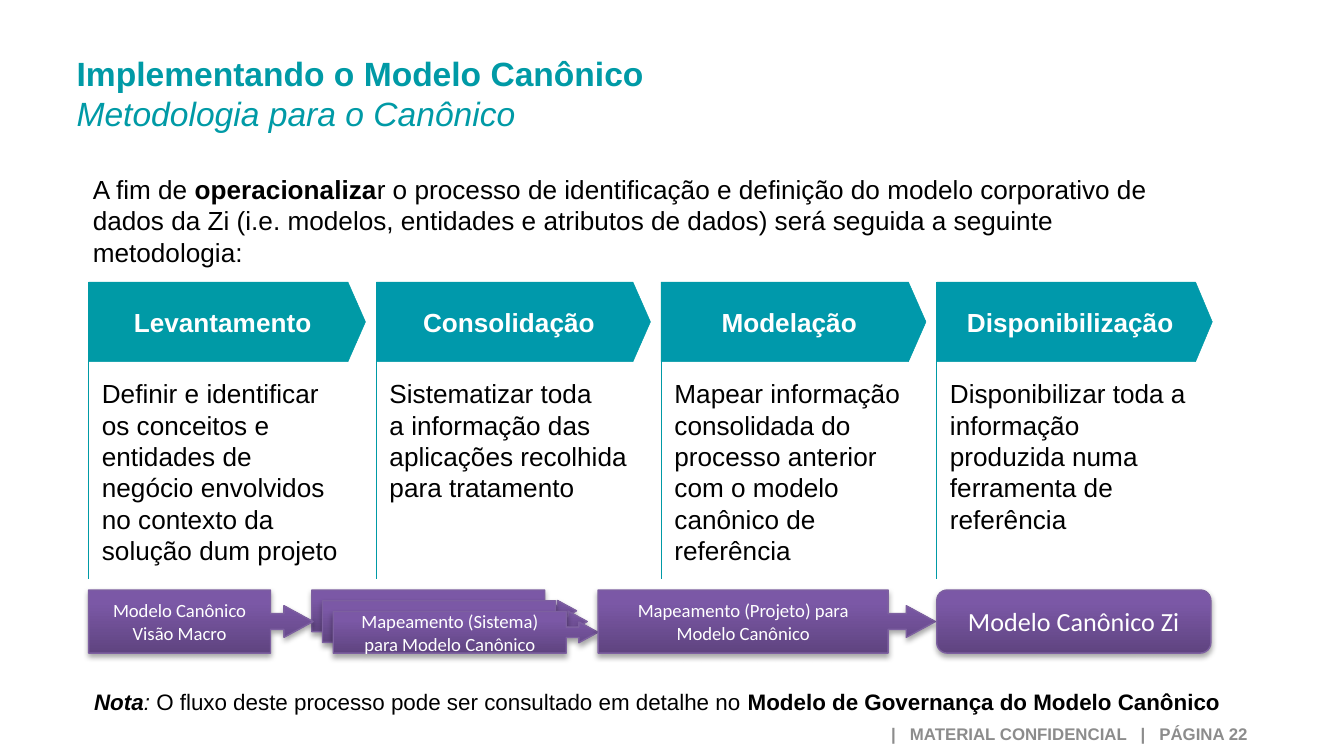
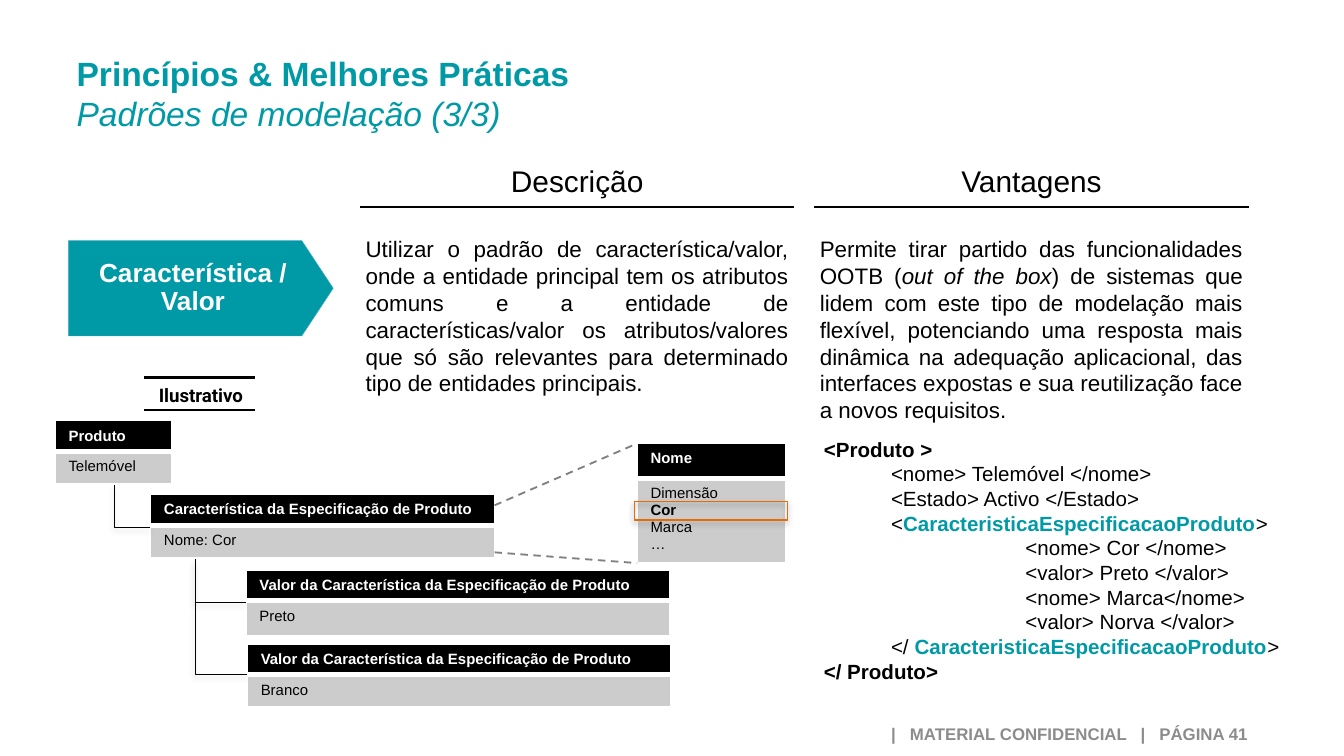
from copy import deepcopy
from itertools import repeat

from lxml.etree import SubElement
from pptx import Presentation
from pptx.dml.color import RGBColor
from pptx.enum.dml import MSO_LINE
from pptx.enum.shapes import MSO_CONNECTOR, MSO_SHAPE
from pptx.enum.text import MSO_ANCHOR, MSO_AUTO_SIZE, PP_ALIGN
from pptx.oxml.ns import qn
from pptx.util import Inches, Pt

CELL = Inches(0.1)  # the slide is a grid of 100 columns by 56.25 rows
TEAL, TEAL_BLUE, BLACK, WHITE = "009AA6", "0099AB", "000000", "FFFFFF"
GREY, SILVER, FOOTER_GREY, ORANGE = "808080", "CCCCCC", "8C8C8C", "E46C0A"
PURPLE_LINE = "7D60A0"
PURPLE_STOPS = [(0, "5F4480"), (0.8, "7B58A6"), (1, "7C57A8")]
BOLD, ITALIC = {"bold": True}, {"italic": True}
KEY = {"bold": True, "color": TEAL}
PLAIN = {"name": "Arial", "bold": False, "italic": False, "color": BLACK}
LABEL = {"size": 14, "bold": True, "color": WHITE}
MIDDLE = {"vertical_anchor": MSO_ANCHOR.MIDDLE}
CENTRED = {"alignment": PP_ALIGN.CENTER}
JUSTIFIED = {"alignment": PP_ALIGN.JUSTIFY}


def hexa(value):
    return RGBColor.from_string(value)


def grid(*cells):
    return [round(cell * CELL) for cell in cells]


def apply(target, values):
    for name, value in values.items():
        setattr(target, name, value)


def insets(across, down):
    across, down = grid(across, down)
    return {"margin_left": across, "margin_right": across,
            "margin_top": down, "margin_bottom": down}


def move(box, area):
    apply(box, dict(zip(("left", "top", "width", "height"), grid(*area))))
    return box


def write(frame, paragraphs, look, layout=None, indents=repeat(0)):
    """Fill a frame; a paragraph is a string or a list of strings and (text, look) spans."""
    for number, (spans, indent) in enumerate(zip(paragraphs, indents)):
        para = frame.add_paragraph() if number else frame.paragraphs[0]
        apply(para, {"alignment": PP_ALIGN.LEFT, "space_before": Pt(0), **(layout or {})})
        properties = para._p.get_or_add_pPr()
        properties.set("marL", str(grid(indent)[0]))
        properties.set("indent", "0")
        SubElement(properties, qn("a:buNone"))
        for span in [spans] if isinstance(spans, str) else spans:
            text, extra = (span, {}) if isinstance(span, str) else span
            values = {**PLAIN, **look, **extra}
            run = para.add_run()
            run.text = text
            run.font.color.rgb = hexa(values.pop("color"))
            apply(run.font, {**values, "size": Pt(values["size"])})


def fill_box(box, paragraphs, look, layout=None, frame=None, indents=repeat(0)):
    apply(box.text_frame, {"word_wrap": True, "auto_size": MSO_AUTO_SIZE.NONE,
                           "vertical_anchor": MSO_ANCHOR.TOP, **(frame or {})})
    write(box.text_frame, paragraphs, look, layout, indents)


def add_text(shapes, area, *content, **options):
    box = shapes.add_textbox(*grid(*area))
    fill_box(box, *content, **options)
    return box


def add_shadow(effects, opacity):
    shadow = SubElement(effects, qn("a:outerShdw"), blurRad=str(Pt(3.1)),
                        dist=str(Pt(1.8)), dir="5400000", rotWithShape="0")
    colour = SubElement(shadow, qn("a:srgbClr"), val=BLACK)
    SubElement(colour, qn("a:alpha"), val=str(opacity * 1000))


def set_line(shape, colour, width, dash=None):
    shape.line.color.rgb = hexa(colour)
    shape.line.width = Pt(width)
    if dash:
        shape.line.dash_style = dash


def add_line(shapes, start, end, colour, width, dash=None, kind=MSO_CONNECTOR.STRAIGHT):
    line = shapes.add_connector(kind, *grid(*start, *end))
    set_line(line, colour, width, dash)
    return line, SubElement(line.element.spPr, qn("a:effectLst"))


def add_branch(shapes, start, end):
    """Draw a thin line that goes down first and then across."""
    line, effects = add_line(shapes, start, end, BLACK, 0.25, kind=MSO_CONNECTOR.ELBOW)
    SubElement(line.element.spPr.find(".//" + qn("a:avLst")), qn("a:gd"),
               name="adj1", fmla="val 0")
    add_shadow(effects, 38)


def add_form(shapes, kind, area, colour, line, adjustments=()):
    shape = shapes.add_shape(kind, *grid(*area))
    for number, value in enumerate(adjustments):
        shape.adjustments[number] = value
    if colour:
        shape.fill.solid()
        shape.fill.fore_color.rgb = hexa(colour)
    else:
        shape.fill.background()
    set_line(shape, *line)
    shape.shadow.inherit = False
    return shape


def add_purple(shapes, kind, area, paragraphs, size=10, adjustments=()):
    shape = add_form(shapes, kind, area, None, (PURPLE_LINE, 0.75), adjustments)
    shape.fill.gradient()
    shape.fill.gradient_angle = 90
    stops = shape.element.spPr.find(".//" + qn("a:gsLst"))
    stops.append(deepcopy(stops[-1]))
    for stop, (position, colour) in zip(shape.fill.gradient_stops, PURPLE_STOPS):
        stop.position = position
        stop.color.rgb = hexa(colour)
    add_shadow(shape.element.spPr.find(qn("a:effectLst")), 35)
    fill_box(shape, paragraphs, {"name": "Calibri", "size": size, "color": WHITE},
             CENTRED, MIDDLE)


def add_callout(shapes, area, paragraphs, share):
    add_purple(shapes, MSO_SHAPE.RIGHT_ARROW_CALLOUT, area, paragraphs,
               adjustments=(0.25, 0.25, 0.46, share))


def add_step(page, left, width, colour, point, label, paragraphs):
    shapes = page.shapes.add_group_shape().shapes
    arrow = add_form(shapes, MSO_SHAPE.PENTAGON, (left, 21, width, 5.9), colour,
                     (TEAL, 0.25), [point])
    fill_box(arrow, [label], LABEL, CENTRED, {**MIDDLE, **insets(0, 0), "word_wrap": False})
    add_text(shapes, (left, 27.6, min(width, 20.4), 15.2), paragraphs, {"size": 14})
    add_line(shapes, (left, 21), (left, 43.1), TEAL, 0.25)


def add_entity(page, left, top, width, heights, header, values):
    table = page.shapes.add_table(2, 1, *grid(left, top, width, sum(heights))).table
    apply(table, {"first_row": False, "horz_banding": False})
    rows = [([header], {"bold": True, "color": WHITE}, BLACK, (1, 3)),
            (values, {}, SILVER, (3, 1))]
    for row, height, (lines, look, colour, (above, below)) in zip(table.rows, heights, rows):
        row.height = grid(height)[0]
        cell = row.cells[0]
        write(cell.text_frame, lines, {"size": 8, **look})
        properties = cell._tc.get_or_add_tcPr()
        for side, weight in zip("LRTB", (1, 1, above, below)):
            border = SubElement(properties, qn("a:ln" + side), w=str(Pt(weight)))
            SubElement(SubElement(border, qn("a:solidFill")), qn("a:srgbClr"), val=WHITE)
        cell.fill.solid()
        cell.fill.fore_color.rgb = hexa(colour)


def add_footer(page, number):
    parts = ["|", " ", "MATERIAL CONFIDENCIAL", " ", "|", " ", f"PÁGINA {number}"]
    box = add_text(page.shapes, (51.6, 53.3, 42.2, 2.9), [parts],
                   {"size": 9, "bold": True, "color": FOOTER_GREY},
                   {"alignment": PP_ALIGN.RIGHT, "line_spacing": 0.8}, MIDDLE)
    for run in box.text_frame.paragraphs[0].runs:
        if run.text == " ":
            run._r.get_or_add_rPr().set("spc", "500")


def add_page(deck, layout, title, subtitle, number):
    page = deck.slides.add_slide(deck.slide_layouts.get_by_name(layout))
    fill_box(move(page.shapes.title, (4.7, 3.4, 74, 7.1)),
             [[(title, BOLD)], [(subtitle, ITALIC)]], {"size": 18, "color": TEAL})
    add_footer(page, number)
    return page


def build_method(deck):
    page = add_page(deck, "Title and Content", "Implementando o Modelo Canônico",
                    "Metodologia para o Canônico", 22)
    shapes = page.shapes
    fill_box(move(page.placeholders[1], (5.9, 12.4, 85, 6.3)), [[
        "A fim de ", ("operacionaliza", BOLD),
        "r o processo de identificação e definição do modelo corporativo de dados da Zi "
        "(i.e. modelos, entidades e atributos de dados) será seguida a seguinte metodologia:",
    ]], {"size": 14})

    steps = [
        (6.6, 20.6, TEAL, 0.22, "Levantamento",
         ["Definir e identificar os conceitos e entidades de negócio envolvidos "
          "no contexto da solução dum projeto"]),
        (28, 20.4, TEAL_BLUE, 0.22, "Consolidação",
         ["Sistematizar toda", "a informação das aplicações recolhida", "para tratamento"]),
        (49.2, 19.7, TEAL_BLUE, 0.22, "Modelação",
         ["Mapear informação consolidada do processo anterior com o modelo canônico "
          "de referência"]),
        (69.7, 20.5, TEAL_BLUE, 0.21, "Disponibilização",
         ["Disponibilizar toda a informação produzida numa ferramenta de referência"]),
    ]
    for step in steps:
        add_step(page, *step)

    stack = [[], [], ["Mapeamento (Sistema) para Modelo Canônico"]]
    for layer, lines in enumerate(stack):
        shift = 0.8 * layer
        add_callout(shapes, (23.2 + shift, 43.9 + shift, 19.7, 3.1), lines, 0.88)
    add_callout(shapes, (44.5, 43.9, 25.1, 4.7),
                ["Mapeamento (Projeto) para Modelo Canônico"], 0.86)
    add_purple(shapes, MSO_SHAPE.ROUNDED_RECTANGLE, (69.7, 43.9, 20.4, 4.7),
               ["Modelo Canônico Zi"], 14)
    add_callout(shapes, (6.6, 43.9, 16.7, 4.7), ["Modelo Canônico", "Visão Macro"], 0.81)

    add_text(shapes, (5.1, 51, 87.4, 2), [[
        ("Nota", {**BOLD, **ITALIC}), (": ", ITALIC),
        "O fluxo deste processo pode ser consultado em detalhe no ",
        ("Modelo de Governança do Modelo Canônico", BOLD),
    ]], {"size": 12}, {**JUSTIFIED, "line_spacing": 1.1},
        {**insets(0, 0), "margin_left": grid(1.9)[0]})


def build_pattern(deck):
    page = add_page(deck, "Comparison", "Princípios & Melhores Práticas",
                    "Padrões de modelação (3/3)", 41)
    shapes = page.shapes
    arrow = add_form(shapes, MSO_SHAPE.PENTAGON, (5.1, 17.9, 19.7, 7.1), TEAL,
                     ("4BACC6", 0.25), [0.33])
    fill_box(arrow, ["Característica / Valor"], LABEL, {**CENTRED, "line_spacing": 0.9},
             {**MIDDLE, **insets(1.2, 0)})

    columns = [
        (26.8, 1, "Descrição", [
            "Utilizar o padrão de característica/valor, onde a entidade principal tem os "
            "atributos comuns e a entidade de características/valor os atributos/valores que "
            "só são relevantes para determinado tipo de entidades principais."]),
        (60.6, 3, "Vantagens", [
            "Permite tirar partido das funcionalidades OOTB (", ("out of the box", ITALIC),
            ") de sistemas que lidem com este tipo de modelação mais flexível, potenciando uma "
            "resposta mais dinâmica na adequação aplicacional, das interfaces expostas e sua "
            "reutilização face a novos requisitos."]),
    ]
    for left, index, heading, body in columns:
        fill_box(move(page.placeholders[index], (left, 11.6, 32.3, 3.7)), [heading],
                 {"size": 16}, CENTRED)
        add_line(shapes, (left, 15.4), (left + 32.3, 15.4), BLACK, 0.75)
        fill_box(move(page.placeholders[index + 1], (left, 17.1, 32.3, 14.9)), [body],
                 {"size": 12}, JUSTIFIED, insets(0.4, 0.4))

    tag = shapes.add_group_shape().shapes
    add_text(tag, (7.3, 28.4, 15.3, 1.9), ["Ilustrativo"],
             {"name": "Roboto", "size": 10, "bold": True},
             {**CENTRED, "line_spacing": 1.1}, insets(0, 0))
    for top in (28.1, 30.5):
        add_line(tag, (10.7, top), (19, top), BLACK, 1.5)

    value_header = "Valor da Característica da Especificação de Produto"
    entities = [
        (4.1, 31.3, 8.7, (2.3, 2.4), "Produto", ["Telemóvel"]),
        (11.2, 36.8, 25.6, (2.3, 2.4), "Característica da Especificação de Produto",
         ["Nome: Cor"]),
        (18.3, 42.4, 31.5, (2.3, 2.6), value_header, ["Preto"]),
        (18.4, 47.9, 31.5, (2.3, 2.4), value_header, ["Branco"]),
        (47.4, 33, 11.1, (2.6, 6.3), "Nome", ["Dimensão", [("Cor", BOLD)], "Marca", "…"]),
    ]
    for entity in entities:
        add_entity(page, *entity)
    for start, end in [((8.5, 36.1), (11.2, 39.2)), ((14.5, 41.9), (18.3, 44.8)),
                       ((14.5, 41.6), (18.4, 50.2))]:
        add_branch(shapes, start, end)
    for start, end in [(41.1, 41.9), (37.6, 33)]:
        add_line(shapes, (36.8, start), (47.4, end), GREY, 1, MSO_LINE.DASH)
    marker = add_form(shapes, MSO_SHAPE.RECTANGLE, (47.2, 37.3, 11.4, 1.4), None,
                      (ORANGE, 0.75))
    add_shadow(marker.element.spPr.find(qn("a:effectLst")), 35)

    tag_name = ("CaracteristicaEspecificacaoProduto", KEY)
    code = [
        (0, [("<Produto >", BOLD)]),
        (5, "<nome> Telemóvel </nome>"),
        (5, "<Estado> Activo </Estado>"),
        (5, ["<", tag_name, ">"]),
        (15, "<nome> Cor </nome>"),
        (15, "<valor> Preto </valor>"),
        (15, "<nome> Marca</nome>"),
        (15, "<valor> Norva </valor>"),
        (5, ["</ ", tag_name, ">"]),
        (0, [("</ Produto>", BOLD)]),
    ]
    indents, lines = zip(*code)
    add_text(shapes, (61.3, 32.5, 38.3, 18.5), lines, {"size": 11},
             frame=insets(0, 0), indents=indents)


def main():
    deck = Presentation()
    deck.slide_width, deck.slide_height = grid(100, 56.25)
    build_method(deck)
    build_pattern(deck)
    deck.save("out.pptx")


if __name__ == "__main__":
    main()
